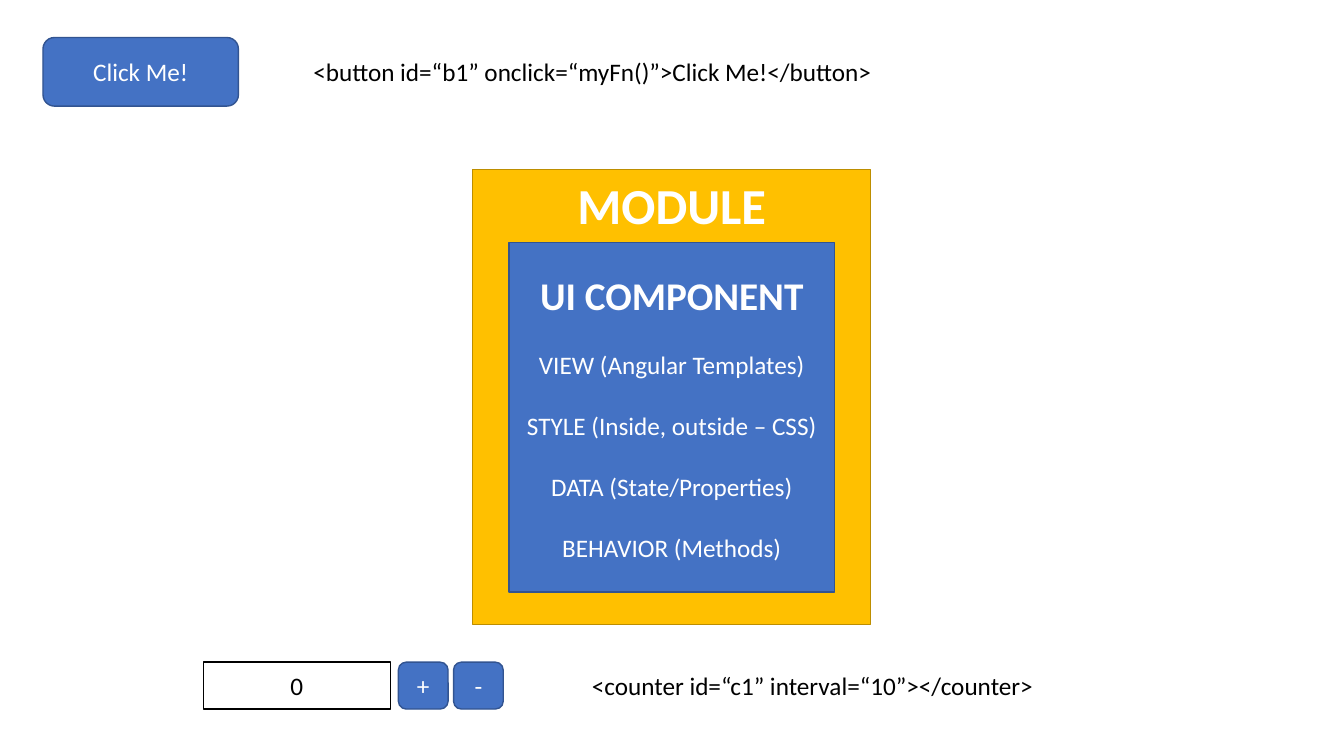
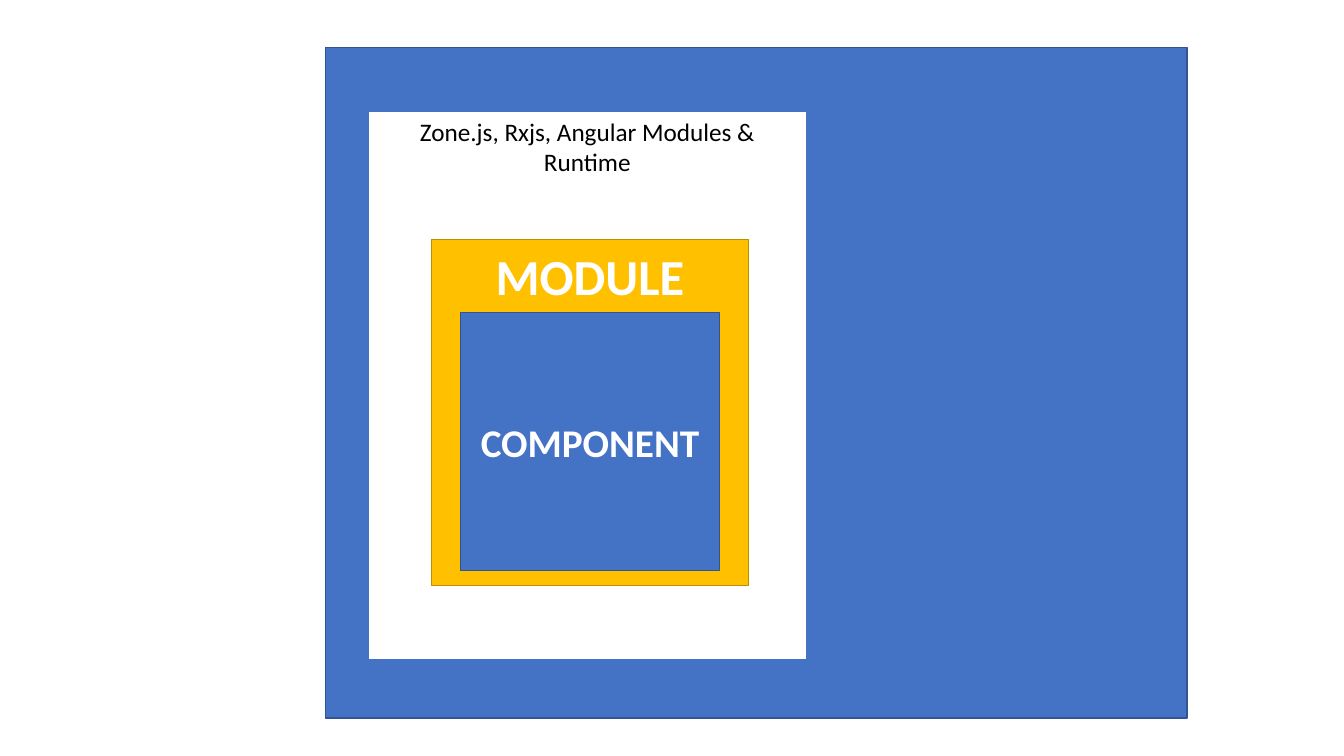
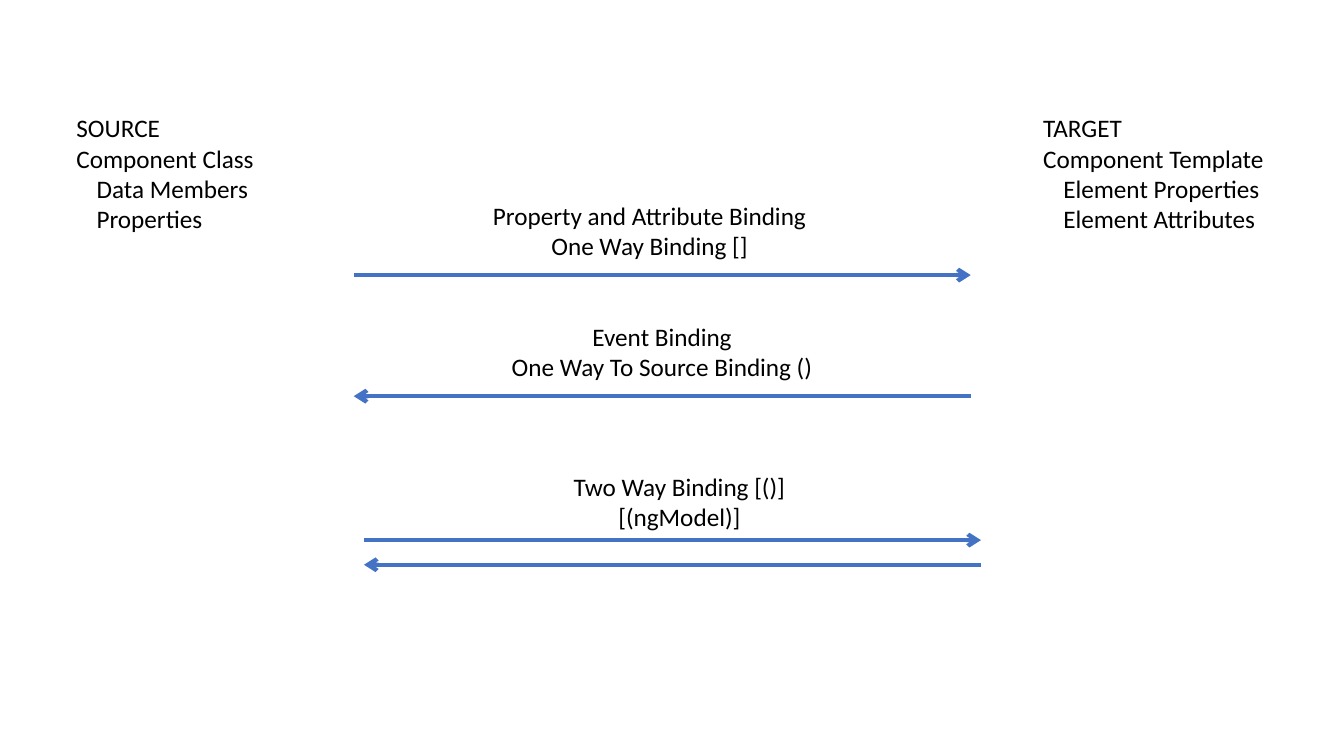
from pptx import Presentation
from pptx.dml.color import RGBColor
from pptx.enum.shapes import MSO_CONNECTOR, MSO_SHAPE
from pptx.enum.text import MSO_ANCHOR, MSO_AUTO_SIZE, PP_ALIGN
from pptx.oxml.ns import qn
from pptx.util import Pt
from lxml import etree

RECTANGLE, ROUNDED = MSO_SHAPE.RECTANGLE, MSO_SHAPE.ROUNDED_RECTANGLE
STRAIGHT = MSO_CONNECTOR.STRAIGHT
TOP, MIDDLE = MSO_ANCHOR.TOP, MSO_ANCHOR.MIDDLE
LEFT, CENTER = PP_ALIGN.LEFT, PP_ALIGN.CENTER
FIT_SHAPE = MSO_AUTO_SIZE.SHAPE_TO_FIT_TEXT

COLORS = {
    "blue": "4472C4",
    "navy": "325491",
    "gold": "FFC000",
    "brown": "BD8E00",
    "white": "FFFFFF",
    "black": "000000",
}
STYLES = {
    "component": ("blue", "navy", "white"),
    "module": ("gold", "brown", "white"),
    "field": ("white", "black", "black"),
    "runtime": ("white", "blue", "black"),
}
BODY = {"name": "Calibri", "size": Pt(18), "bold": False}
MODULE_HEADING = {**BODY, "size": Pt(36), "bold": True}
COMPONENT_HEADING = {**BODY, "size": Pt(28), "bold": True}
LINE_HEIGHT = Pt(22)
NESTED_INDENT = Pt(14.4)


def color(name):
    return RGBColor.from_string(COLORS[name])


def fill_text(box, lines, ink, align, first=BODY, gap=0, indent_from=None):
    for index, text in enumerate(lines):
        frame = box.text_frame
        para = frame.add_paragraph() if index else frame.paragraphs[0]
        para.alignment = align
        if index:
            para.space_before = gap
        if indent_from is not None and index >= indent_from:
            para._p.get_or_add_pPr().set("marL", str(NESTED_INDENT))
        span = para.add_run()
        span.text = text
        for name, value in (BODY if index else first).items():
            setattr(span.font, name, value)
        span.font.color.rgb = color(ink)


def add_panel(page, shape_type, bounds, style, lines=(), anchor=MIDDLE, **text_format):
    fill, outline, ink = STYLES[style]
    box = page.shapes.add_shape(shape_type, *map(Pt, bounds))
    box.shadow.inherit = False
    box.fill.solid()
    box.fill.fore_color.rgb = color(fill)
    box.line.color.rgb = color(outline)
    box.line.width = Pt(1)
    box.text_frame.vertical_anchor = anchor
    fill_text(box, lines, ink, CENTER, **text_format)


deck = Presentation()
deck.slide_width, deck.slide_height = Pt(960), Pt(540)
blank = deck.slide_layouts[6]
component_page, runtime_page, binding_page = [deck.slides.add_slide(blank) for _ in range(3)]

add_panel(runtime_page, RECTANGLE, (232.3, 33.8, 615.7, 479), "component")
add_panel(runtime_page, RECTANGLE, (263, 79.5, 313, 392), "runtime",
          ["Zone.js, Rxjs, Angular Modules & Runtime"], TOP)

component_lines = [
    "UI COMPONENT",
    "VIEW (Angular Templates)",
    "STYLE (Inside, outside – CSS)",
    "DATA (State/Properties)",
    "BEHAVIOR (Methods)",
]
for page, module_bounds, component_bounds, lines in [
    (component_page, (337.7, 121, 284.3, 325), (363.5, 173.3, 232.7, 249.5), component_lines),
    (runtime_page, (308.2, 171.3, 226.3, 247), (329, 223.2, 185, 184.3), ["COMPONENT"]),
]:
    add_panel(page, RECTANGLE, module_bounds, "module", ["MODULE"], TOP, first=MODULE_HEADING)
    add_panel(page, RECTANGLE, component_bounds, "component", lines,
              first=COMPONENT_HEADING, gap=LINE_HEIGHT)

for shape_type, bounds, style, label in [
    (ROUNDED, (30.7, 26.8, 139.6, 49), "component", "Click Me!"),
    (RECTANGLE, (145.3, 473, 133.5, 33.5), "field", "0"),
    (ROUNDED, (284.6, 473, 35.5, 33.5), "component", "+"),
    (ROUNDED, (324, 473, 35.5, 33.5), "component", "-"),
]:
    add_panel(component_page, shape_type, bounds, style, [label])

for page, bounds, align, indent_from, lines in [
    (component_page, (216.7, 37, 418.3, 29), LEFT, None,
     ["<button id=“b1” onclick=“myFn()”>Click Me!</button>"]),
    (component_page, (415.7, 475.4, 333.4, 29), LEFT, None,
     ["<counter id=“c1” interval=“10”></counter>"]),
    (binding_page, (47.5, 77, 142.6, 94.5), LEFT, 2,
     ["SOURCE", "Component Class", "Data Members", "Properties"]),
    (binding_page, (738, 77, 174.2, 94.5), LEFT, 2,
     ["TARGET", "Component Template", "Element Properties", "Element Attributes"]),
    (binding_page, (343.4, 139.5, 241.2, 51), CENTER, None,
     ["Property and Attribute Binding", "One Way Binding []"]),
    (binding_page, (357, 226, 231.8, 51), CENTER, None,
     ["Event Binding", "One Way To Source Binding ()"]),
    (binding_page, (401.8, 333, 167, 51), CENTER, None,
     ["Two Way Binding [()]", "[(ngModel)]"]),
]:
    box = page.shapes.add_textbox(*map(Pt, bounds))
    box.text_frame.word_wrap = False
    box.text_frame.auto_size = FIT_SHAPE
    fill_text(box, lines, "black", align, indent_from=indent_from)

for start, end, height in [
    (252.7, 693.4, 196.5),
    (693.4, 252.7, 283),
    (260, 700.7, 385.8),
    (700.7, 260, 403.4),
]:
    arrow = binding_page.shapes.add_connector(STRAIGHT, Pt(start), Pt(height), Pt(end), Pt(height))
    arrow.line.color.rgb = color("blue")
    arrow.line.width = Pt(3)
    etree.SubElement(arrow.line._get_or_add_ln(), qn("a:tailEnd"), type="arrow")
    etree.SubElement(arrow._element.spPr, qn("a:effectLst"))

deck.save("out.pptx")
